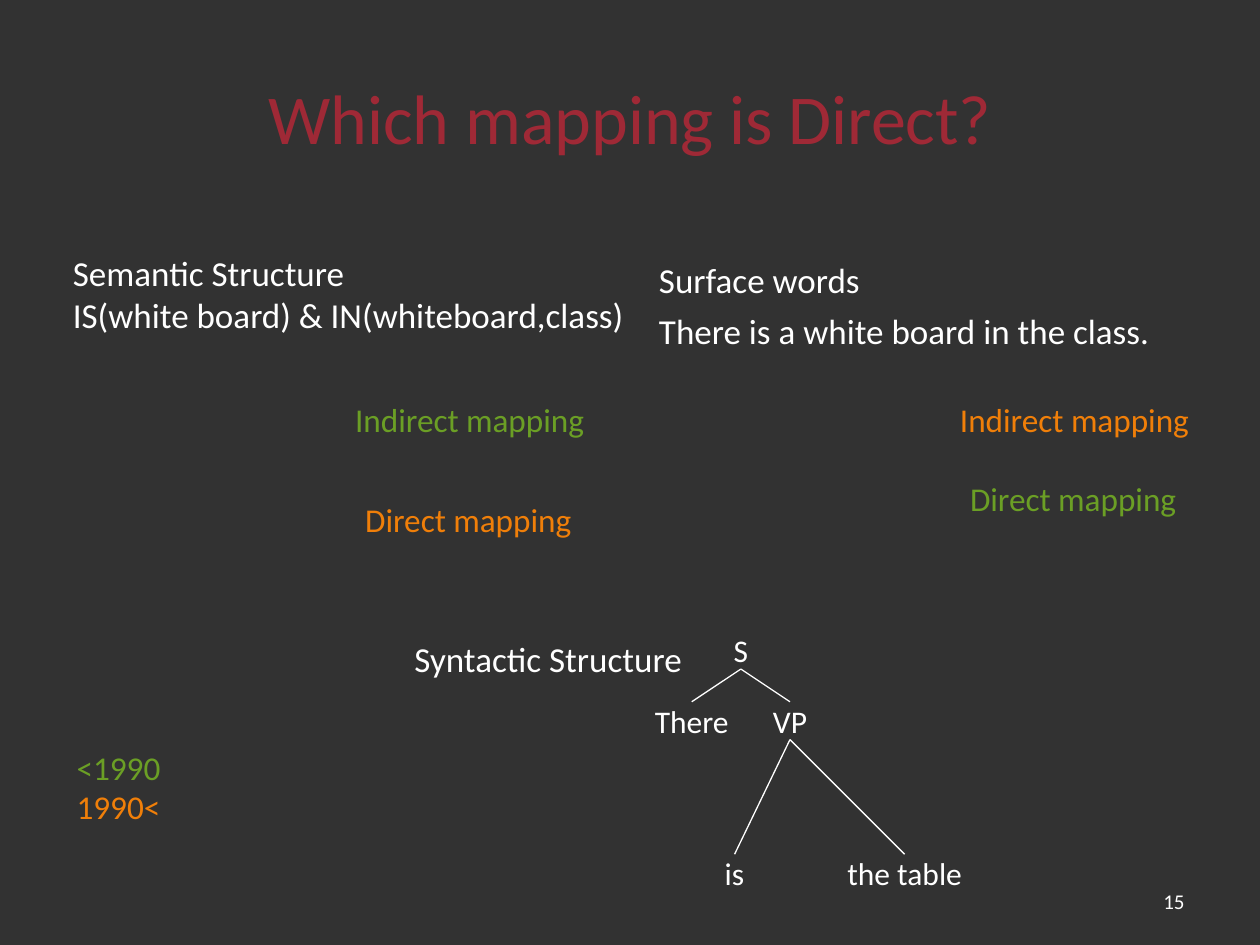
from lxml.etree import SubElement
from pptx import Presentation
from pptx.dml.color import RGBColor
from pptx.enum.shapes import MSO_CONNECTOR as Connector
from pptx.enum.text import MSO_ANCHOR as Anchor, MSO_AUTO_SIZE as AutoSize, PP_ALIGN as Align
from pptx.oxml.ns import qn
from pptx.util import Inches, Pt

BACKGROUND, WHITE, RED = "323232", "FFFFFF", "9F2936"
GREEN, ORANGE = "6B9F25", "F07F09"  # before 1990, after 1990
TOP, BOTTOM = 0, 2


def colour(value):
    return RGBColor.from_string(value)


def place(shape, left, top, width, height):
    shape.left, shape.top = Inches(left), Inches(top)
    shape.width, shape.height = Inches(width), Inches(height)


def write(shape, text, size=20, color=WHITE, align=Align.LEFT, anchor=Anchor.TOP,
          before=0, hanging=0, wrap=True, inset=None):
    """Fill a shape with one paragraph per line of text."""
    frame = shape.text_frame
    frame.text = text
    frame.word_wrap = wrap
    frame.auto_size = AutoSize.NONE if wrap else AutoSize.SHAPE_TO_FIT_TEXT
    frame.vertical_anchor = anchor
    if inset is not None:
        frame.margin_left = frame.margin_right = Inches(inset)
        frame.margin_top = frame.margin_bottom = Inches(inset)
    for para in frame.paragraphs:
        properties = para._p.get_or_add_pPr()
        properties.set("marL", str(Inches(hanging)))
        properties.set("indent", str(-Inches(hanging)))
        SubElement(properties, qn("a:buNone"))
        para.alignment = align
        para.space_before = Pt(before)
        for span in para.runs:
            span.font.name = "Calibri"
            span.font.size = Pt(size)
            span.font.color.rgb = colour(color)


def add_text(page, area, text, **style):
    box = page.shapes.add_textbox(*map(Inches, area))
    write(box, text, **style)
    return box


def add_node(page, center, top, width, text):
    area = (center - width / 2, top, width, 0.3)
    return add_text(page, area, text, size=18, align=Align.CENTER,
                    anchor=Anchor.MIDDLE, wrap=False, inset=0)


def add_branch(page, parent, child):
    branch = page.shapes.add_connector(Connector.STRAIGHT, 0, 0, 0, 0)
    branch.begin_connect(parent, BOTTOM)
    branch.end_connect(child, TOP)
    branch.line.color.rgb = colour(WHITE)
    branch.line.width = Pt(0.75)
    SubElement(branch._element.spPr, qn("a:effectLst"))


def main():
    deck = Presentation()
    deck.slide_width, deck.slide_height = Inches(10), Inches(7.5)
    page = deck.slides.add_slide(deck.slide_layouts[1])
    page.background.fill.solid()
    page.background.fill.fore_color.rgb = colour(BACKGROUND)

    # Title and surface words
    title, body = page.placeholders
    place(title, 0.5, 0.3, 9, 1.25)
    write(title, "Which mapping is Direct?", size=40, color=RED,
          align=Align.CENTER, anchor=Anchor.MIDDLE)
    place(body, 5.13, 2, 4.37, 1.44)
    write(body, "Surface words\nThere is a white board in the class.",
          before=5, hanging=0.38)

    # Other two structures
    add_text(page, (3.19, 5.01, 4.37, 1.44), "Syntactic Structure", before=5, hanging=0.38)
    add_text(page, (0.48, 1.95, 4.58, 0.77),
             "Semantic Structure\nIS(white board) & IN(whiteboard,class)", wrap=False)

    # Mapping labels and the colour key
    labels = [
        (2.72, 3.12, "Indirect mapping", GREEN),
        (2.8, 3.91, "Direct mapping", ORANGE),
        (7.52, 3.12, "Indirect mapping", ORANGE),
        (7.6, 3.75, "Direct mapping", GREEN),
        (0.51, 5.88, "<1990", GREEN),
        (0.51, 6.19, "1990<", ORANGE),
    ]
    for left, top, text, color in labels:
        width = 2.68 if left > 5 else 2.84
        add_text(page, (left, top, width, 0.55), text, size=19, color=color,
                 before=4.8, hanging=0.38)

    # Syntax tree, each node a little wider than its word
    sentence = add_node(page, 5.88, 5.01, 0.15, "S")
    there = add_node(page, 5.49, 5.57, 0.62, "There")
    verb_phrase = add_node(page, 6.27, 5.57, 0.32, "VP")
    verb = add_node(page, 5.83, 6.78, 0.2, "is")
    noun_phrase = add_node(page, 7.18, 6.78, 0.95, "the table")
    for parent, child in [(sentence, there), (sentence, verb_phrase),
                          (verb_phrase, verb), (verb_phrase, noun_phrase)]:
        add_branch(page, parent, child)

    # Page number
    add_text(page, (7.17, 6.95, 2.33, 0.4), "15", size=12,
             align=Align.RIGHT, anchor=Anchor.MIDDLE)

    deck.save("out.pptx")


if __name__ == "__main__":
    main()
